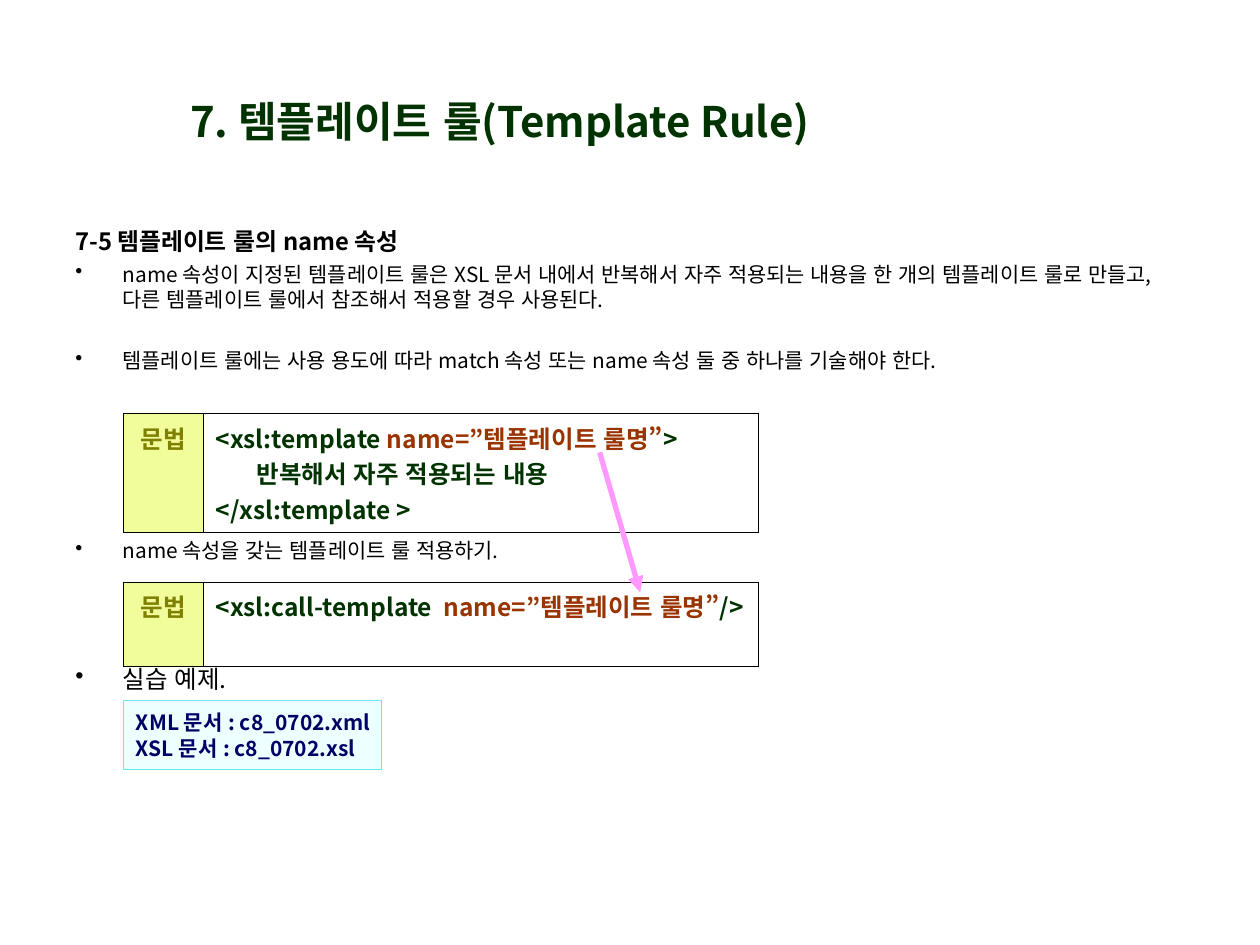
"""Build the slide on the name attribute of XSL template rules."""
import pptx
import pptx.util
import pptx.dml.color
import pptx.enum.shapes
import pptx.enum.text
import pptx.oxml

Pt = pptx.util.Pt
RGB = pptx.dml.color.RGBColor.from_string
ALIGN = pptx.enum.text.PP_ALIGN
ANCHOR = pptx.enum.text.MSO_ANCHOR
NS = "http://schemas.openxmlformats.org/drawingml/2006/main"
FONT = "Noto Sans CJK KR"
COLORS = {
    "black": "000000", "green": "003300", "rust": "993300",
    "olive": "808000", "lime": "F1FD9B", "pink": "FF99FF",
    "navy": "000066", "ice": "EDFFFF", "cyan": "6AE8F2",
}


def add_xml(parent, xml):
    parent.append(pptx.oxml.parse_xml(xml.replace(">", f' xmlns:a="{NS}">', 1)))


def write(tf, i, runs, size, bold=False, align=ALIGN.LEFT, before=0,
          hanging=False, bullet=False):
    p = tf.paragraphs[0] if i == 0 else tf.add_paragraph()
    p.alignment = align
    p.line_spacing = 1.0
    p.space_before = Pt(before)
    pPr = p._p.get_or_add_pPr()
    if hanging:
        pPr.set("marL", str(Pt(27)))
        pPr.set("indent", str(-Pt(27)))
    if bullet:
        add_xml(pPr, '<a:buClr><a:srgbClr val="000000"/></a:buClr>')
        add_xml(pPr, '<a:buChar char="•"></a:buChar>')
    p.font.name = FONT
    p.font.size = Pt(size)
    p.font.bold = bold
    add_xml(pPr.find(f"{{{NS}}}defRPr"), f'<a:ea typeface="{FONT}"></a:ea>')
    for text, color in runs:
        r = p.add_run()
        r.text = text
        r.font.language_id = pptx.enum.lang.MSO_LANGUAGE_ID.KOREAN
        r.font.color.rgb = RGB(COLORS[color])


prs = pptx.Presentation()
prs.slide_width, prs.slide_height = Pt(720), Pt(540)
s = prs.slides.add_slide(prs.slide_layouts[6])

tf = s.shapes.add_textbox(Pt(64.8), Pt(54.7), Pt(447), Pt(28.8)).text_frame
tf.word_wrap = True
tf.vertical_anchor = ANCHOR.MIDDLE
write(tf, 0, [("7. 템플레이트 룰(Template Rule) ", "green")], 24, True, ALIGN.CENTER)

tf = s.shapes.add_textbox(Pt(36), Pt(126), Pt(647), Pt(98.6)).text_frame
tf.word_wrap = True
write(tf, 0, [("7-5 템플레이트 룰의 name 속성", "black")], 13.6, True, hanging=True)
points = [
    ("name 속성이 지정된 템플레이트 룰은 XSL 문서 내에서 반복해서 자주 적용되는 내용을 "
     "한 개의 템플레이트 룰로 만들고, 다른 템플레이트 룰에서 참조해서 적용할 경우 사용된다.", 3.5),
    ("템플레이트 룰에는 사용 용도에 따라 match 속성 또는 name 속성 둘 중 하나를 기술해야 한다.", 21),
]
for i, (text, before) in enumerate(points, 1):
    write(tf, i, [(text, "black")], 11.9, before=before, hanging=True, bullet=True)

name_attr = ("name=”템플레이트 룰명”", "rust")
syntaxes = [
    (236.2, 68, [
        [("<xsl:template ", "green"), name_attr, (">", "green")],
        [("      반복해서 자주 적용되는 내용", "green")],
        [("</xsl:template >", "green")],
    ]),
    (332.6, 48, [[("<xsl:call-template  ", "green"), name_attr, ("/>", "green")]]),
]
for top, height, code in syntaxes:
    table = s.shapes.add_table(1, 2, Pt(70.6), Pt(top), Pt(363), Pt(height)).table
    table.first_row = table.horz_banding = False
    table.columns[0].width, table.columns[1].width = Pt(45.4), Pt(317.5)
    label, body = table.cell(0, 0), table.cell(0, 1)
    for cell in (label, body):
        tcPr = cell._tc.get_or_add_tcPr()
        for side in "LRTB":
            add_xml(tcPr, f'<a:ln{side} w="{Pt(0.45)}"><a:solidFill>'
                          f'<a:srgbClr val="{COLORS["black"]}"/></a:solidFill></a:ln{side}>')
    label.fill.solid()
    label.fill.fore_color.rgb = RGB(COLORS["lime"])
    body.fill.background()
    write(label.text_frame, 0, [("문법", "olive")], 14, True, ALIGN.CENTER, hanging=True)
    for i, runs in enumerate(code):
        write(body.text_frame, i, runs, 14, True, hanging=True)

for text, top, width, height, size in [
    ("name 속성을 갖는 템플레이트 룰 적용하기.", 303.8, 619, 23, 11.9),
    ("실습 예제.", 375.8, 160, 25.2, 14),
]:
    tf = s.shapes.add_textbox(Pt(36), Pt(top), Pt(width), Pt(height)).text_frame
    tf.word_wrap = True
    write(tf, 0, [(text, "black")], size, hanging=True, bullet=True)

arrow = s.shapes.add_connector(pptx.enum.shapes.MSO_CONNECTOR.STRAIGHT,
                               Pt(342.7), Pt(258.5), Pt(365.8), Pt(338.4))
arrow.line.color.rgb = RGB(COLORS["pink"])
arrow.line.width = Pt(3)
add_xml(arrow.line._get_or_add_ln(), '<a:tailEnd type="triangle"></a:tailEnd>')
add_xml(arrow._element.spPr, "<a:effectLst></a:effectLst>")

sp = s.shapes.add_shape(pptx.enum.shapes.MSO_SHAPE.RECTANGLE,
                        Pt(70.6), Pt(400.3), Pt(147.6), Pt(39.6))
sp.shadow.inherit = False
sp.fill.solid()
sp.fill.fore_color.rgb = RGB(COLORS["ice"])
sp.line.color.rgb = RGB(COLORS["cyan"])
sp.line.width = Pt(0.75)
tf = sp.text_frame
tf.word_wrap = False
tf.vertical_anchor = ANCHOR.MIDDLE
for i, text in enumerate(["XML 문서 : c8_0702.xml", "XSL 문서 : c8_0702.xsl"]):
    write(tf, i, [(text, "navy")], 12, True)

prs.save("out.pptx")
